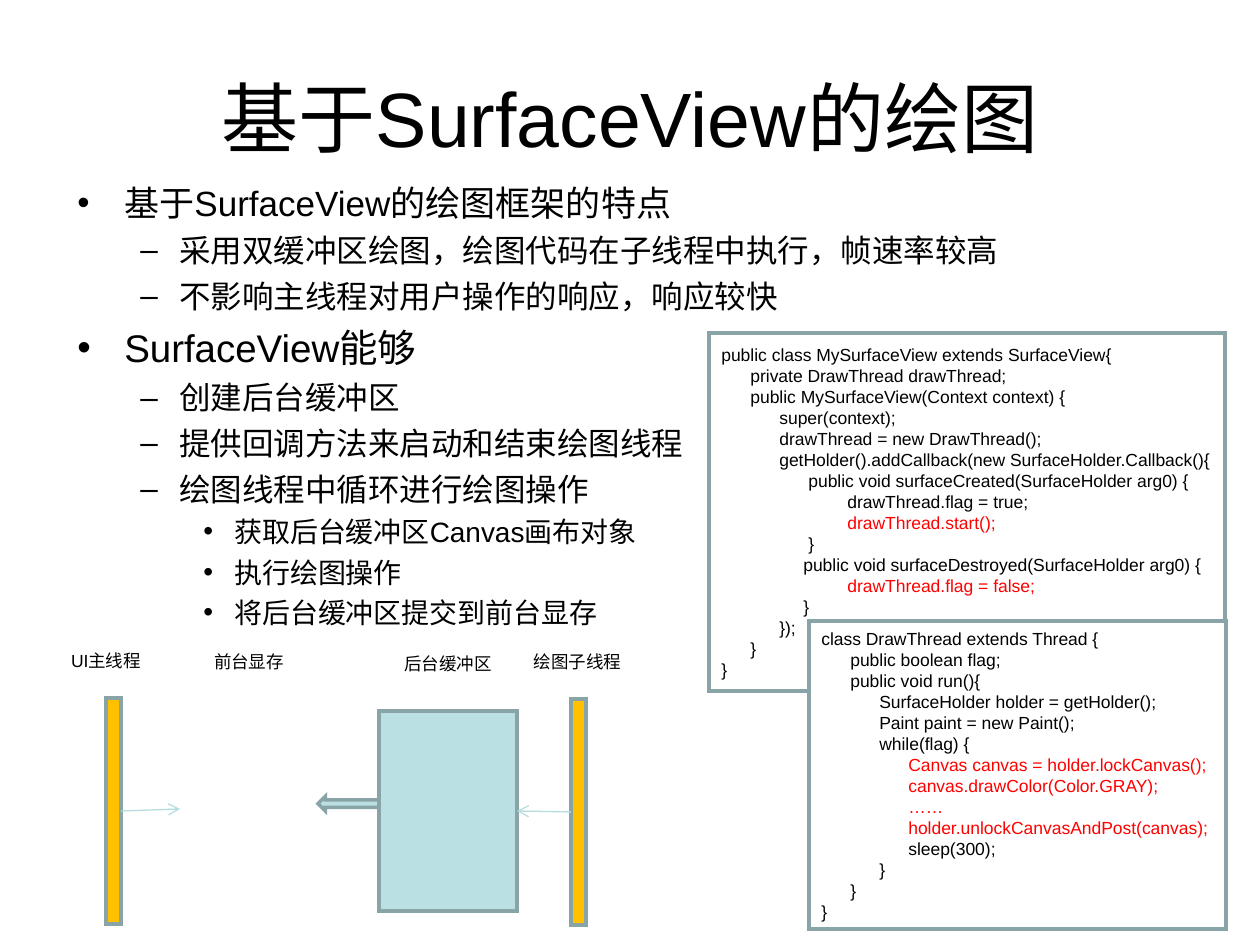
from lxml import etree
from pptx import Presentation, util as u
from pptx.dml.color import RGBColor
from pptx.enum import shapes as s, text as t
from pptx.oxml.ns import qn

BLACK = RGBColor(0, 0, 0)
WHITE = RGBColor(255, 255, 255)
RED = RGBColor(255, 0, 0)
GOLD = RGBColor(0xFF, 0xC0, 0x00)
AQUA = RGBColor(0xBB, 0xE0, 0xE3)
PALE = RGBColor(0xB6, 0xDC, 0xDF)
EDGE = RGBColor(0x89, 0xA4, 0xA7)


def px(*vals):
    """Turn px (126 to the inch) into EMU."""
    return [u.Emu(round(v * 914400 / 126)) for v in vals]


def write(item, rows, anchor, align=t.PP_ALIGN.LEFT):
    """Rows hold words, size, colour, indent, hang, bullet, space before."""
    frame = item.text_frame
    frame.word_wrap = True
    frame.vertical_anchor = anchor
    for i, (words, size, color, indent, hang, mark, gap) in enumerate(rows):
        para = frame.paragraphs[0] if i == 0 else frame.add_paragraph()
        run = para.add_run()
        run.text = words
        run.font.color.rgb = color
        para.alignment = align
        para.space_before = u.Pt(gap)
        left, first = px(indent, -hang)
        props = para._p.get_or_add_pPr()
        props.set("marL", str(left))
        props.set("indent", str(first))
        if mark:
            etree.SubElement(props, qn("a:buFont")).set("typeface", "Arial")
            etree.SubElement(props, qn("a:buChar")).set("char", mark)
        para.font.name = "Arial"
        para.font.size = u.Pt(size)


deck = Presentation()
deck.slide_width, deck.slide_height = px(1260, 945)
slide = deck.slides.add_slide(deck.slide_layouts[6])
parts = slide.shapes
MID, TOP = t.MSO_ANCHOR.MIDDLE, t.MSO_ANCHOR.TOP
MAIN = t.PP_ALIGN.CENTER

# Title
title = parts.add_textbox(*px(63, 38, 1134, 158))
write(title, [("基于SurfaceView的绘图", 44, BLACK, 0, 0, "", 0)], MID, MAIN)

# Bullet list: level, size, words
points = [
    (0, 20, "基于SurfaceView的绘图框架的特点"),
    (1, 18, "采用双缓冲区绘图，绘图代码在子线程中执行，帧速率较高"),
    (1, 18, "不影响主线程对用户操作的响应，响应较快"),
    (0, 22, "SurfaceView能够"),
    (1, 18, "创建后台缓冲区"),
    (1, 18, "提供回调方法来启动和结束绘图线程"),
    (1, 18, "绘图线程中循环进行绘图操作"),
    (2, 16, "获取后台缓冲区Canvas画布对象"),
    (2, 16, "执行绘图操作"),
    (2, 16, "将后台缓冲区提交到前台显存"),
]
levels = [(47, 47, "•"), (102, 39, "–"), (157, 31, "•")]
body = parts.add_textbox(*px(65, 175, 1134, 460))
write(body, [(words, size, BLACK, *levels[lev], size / 4)
             for lev, size, words in points], TOP)

# Code panels: indent in px, words, colour
view = [
    (0, "public class MySurfaceView extends SurfaceView{", BLACK),
    (29, "private DrawThread drawThread;", BLACK),
    (29, "public MySurfaceView(Context context) {", BLACK),
    (58, "super(context);", BLACK),
    (58, "drawThread = new DrawThread();", BLACK),
    (58, "getHolder().addCallback(new SurfaceHolder.Callback(){", BLACK),
    (87, "public void surfaceCreated(SurfaceHolder arg0) {", BLACK),
    (126, "drawThread.flag = true;", BLACK),
    (126, "drawThread.start();", RED),
    (87, "}", BLACK),
    (82, "public void surfaceDestroyed(SurfaceHolder arg0) {", BLACK),
    (126, "drawThread.flag = false;", RED),
    (82, "}", BLACK),
    (58, "});", BLACK),
    (29, "}", BLACK),
    (0, "}", BLACK),
]
thread = [
    (0, "class DrawThread extends Thread {", BLACK),
    (29, "public boolean flag;", BLACK),
    (29, "public void run(){", BLACK),
    (58, "SurfaceHolder holder = getHolder();", BLACK),
    (58, "Paint paint = new Paint();", BLACK),
    (58, "while(flag) {", BLACK),
    (87, "Canvas canvas = holder.lockCanvas();", RED),
    (87, "canvas.drawColor(Color.GRAY);", RED),
    (87, "……", RED),
    (87, "holder.unlockCanvasAndPost(canvas);", RED),
    (87, "sleep(300);", BLACK),
    (58, "}", BLACK),
    (29, "}", BLACK),
    (0, "}", BLACK),
]

# Panels, thread bars, back buffer and the arrow to the front buffer
RECT, ARROW = s.MSO_SHAPE.RECTANGLE, s.MSO_SHAPE.RIGHT_ARROW
made = {}
for name, kind, box, fill, code in [
    ("view", RECT, (709, 333, 516, 358), WHITE, view),
    ("thread", RECT, (809, 621, 417, 308), WHITE, thread),
    ("buffer", RECT, (379, 711, 138, 200), AQUA, []),
    ("main", RECT, (106, 698, 15, 226), GOLD, []),
    ("worker", RECT, (571, 699, 15, 226), GOLD, []),
    ("arrow", ARROW, (318, 796, 61, 15), AQUA, []),
]:
    shape = parts.add_shape(kind, *px(*box))
    shape.shadow.inherit = False
    shape.fill.solid()
    shape.fill.fore_color.rgb = fill
    shape.line.color.rgb = EDGE
    shape.line.width = u.Pt(2)
    edge = shape.line._get_or_add_ln()
    etree.SubElement(edge, qn("a:miter")).set("lim", "800000")
    if code:
        write(shape, [(words, 10, color, indent, 0, "", 0)
                      for indent, words, color in code], MID)
    made[name] = shape
made["arrow"].rotation = 180

# Diagram labels
for words, box in [
    ("UI主线程", (51, 634, 110, 53)),
    ("前台显存", (194, 634, 110, 54)),
    ("后台缓冲区", (379, 637, 138, 53)),
    ("绘图子线程", (517, 634, 121, 54)),
]:
    label = parts.add_textbox(*px(*box))
    write(label, [(words, 10, BLACK, 0, 0, "", 0)], MID, MAIN)

# Thin arrows from the threads
for ends, start, side, goal in [
    ((121, 811, 180, 809), "main", 3, None),
    ((571, 812, 517, 811), "worker", 1, "buffer"),
]:
    link = parts.add_connector(s.MSO_CONNECTOR.STRAIGHT, *px(*ends))
    link.begin_connect(made[start], side)
    if goal:
        link.end_connect(made[goal], 3)
    link.line.color.rgb = PALE
    link.line.width = u.Pt(0.75)
    line = link.line._get_or_add_ln()
    etree.SubElement(line, qn("a:tailEnd")).set("type", "arrow")
    etree.SubElement(link._element.spPr, qn("a:effectLst"))

deck.save("out.pptx")
